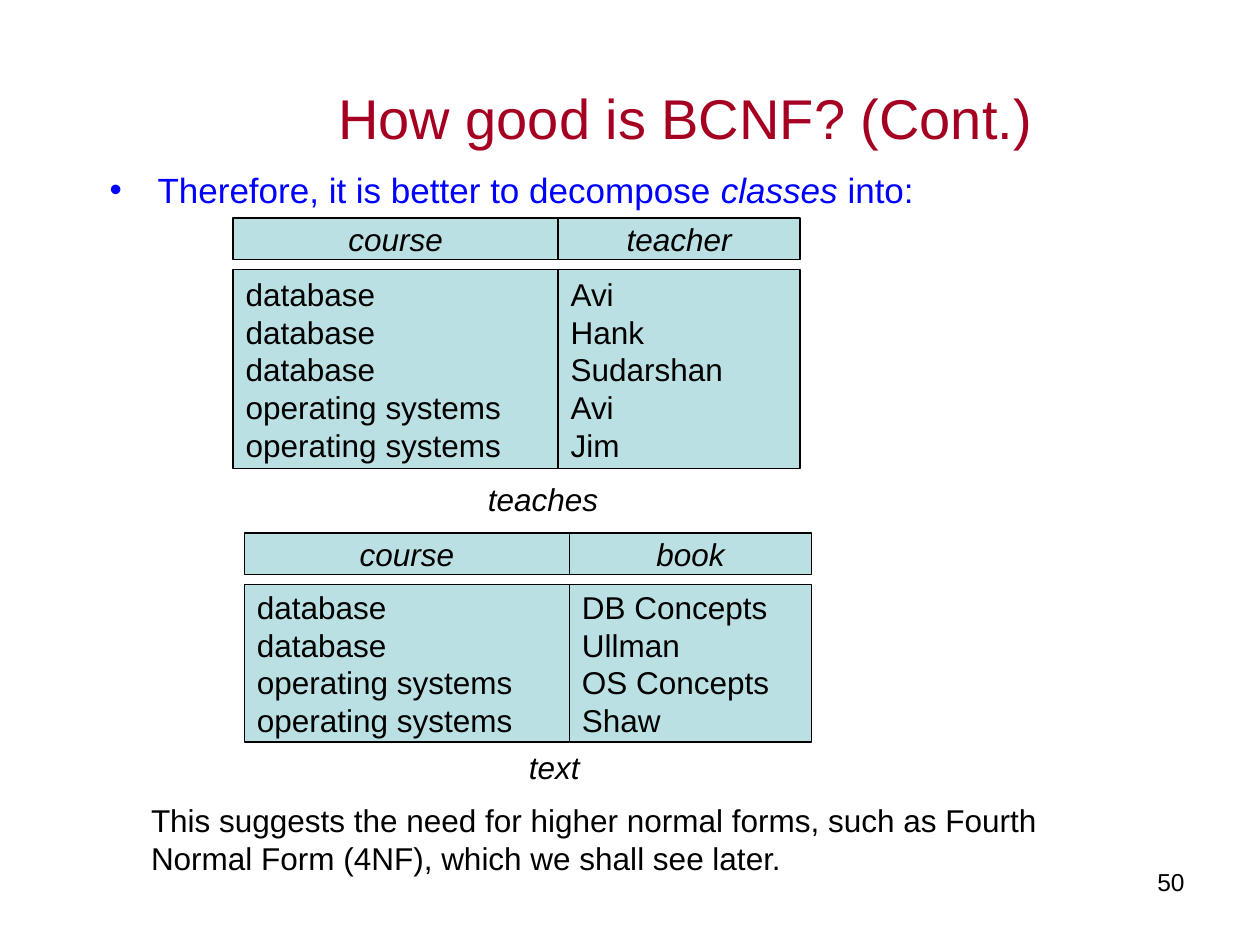
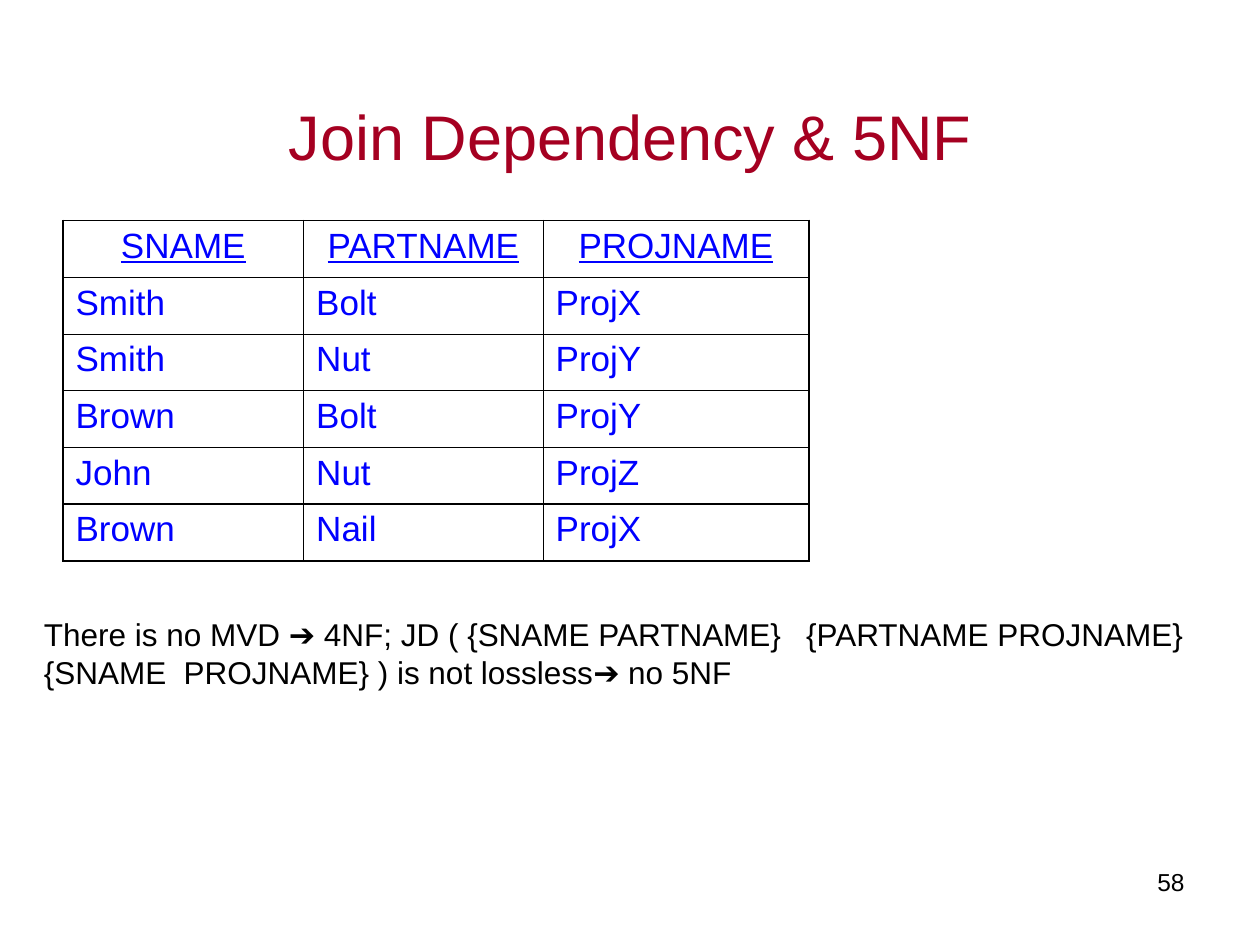
from lxml.etree import SubElement
from pptx import Presentation
from pptx.dml.color import RGBColor
from pptx.enum.shapes import MSO_SHAPE
from pptx.enum.text import MSO_ANCHOR, MSO_AUTO_SIZE, PP_ALIGN
from pptx.oxml.ns import qn
from pptx.util import Inches, Pt

FONT = "Arial"
BLACK, BLUE, CRIMSON, PALE_TEAL = "000000", "0000FF", "A50021", "BBE0E3"
TITLE_ONLY, TITLE_AND_CONTENT = 5, 1
THICK, THIN = 1.08, 0.45
PART_COLUMNS = (1.91, 1.9, 2.11)
ROW_HEIGHT = 0.45


def color(hex_code):
    return RGBColor.from_string(hex_code)


def inches(box):
    return [Inches(length) for length in box]


def format_paragraph(paragraph, size, hex_code=BLACK, align=PP_ALIGN.LEFT, italic=None):
    paragraph.alignment = align
    font = paragraph.font
    font.name, font.size, font.italic = FONT, Pt(size), italic
    font.color.rgb = color(hex_code)


def place(shape, box):
    shape.left, shape.top, shape.width, shape.height = inches(box)


def add_text(slide, box, text, size=18, anchor=MSO_ANCHOR.TOP, **style):
    frame = slide.shapes.add_textbox(*inches(box)).text_frame
    frame.word_wrap, frame.vertical_anchor = True, anchor
    frame.text = text
    format_paragraph(frame.paragraphs[0], size, **style)
    return frame.paragraphs[0]


def start_slide(presentation, layout, title, box, size, anchor, number):
    """Add a slide with the shared title style and slide number."""
    slide = presentation.slides.add_slide(presentation.slide_layouts[layout])
    shape = slide.shapes.title
    place(shape, box)
    frame = shape.text_frame
    frame.auto_size, frame.vertical_anchor = MSO_AUTO_SIZE.NONE, anchor
    frame.text = title
    format_paragraph(frame.paragraphs[0], size, CRIMSON, PP_ALIGN.CENTER)
    add_text(slide, (7.17, 6.83, 2.33, 0.52), number, 14, align=PP_ALIGN.RIGHT)
    return slide


# Bulleted statement
def fill_bullet(shape, box, runs):
    place(shape, box)
    frame = shape.text_frame
    frame.auto_size = MSO_AUTO_SIZE.NONE
    frame.margin_top = Inches(0.05)
    paragraph = frame.paragraphs[0]
    properties = paragraph._p.get_or_add_pPr()
    properties.set("marL", str(Inches(0.38)))
    properties.set("indent", str(-Inches(0.38)))
    paragraph.space_before = Pt(0)
    bullet_color = SubElement(properties, qn("a:buClr"))
    SubElement(bullet_color, qn("a:srgbClr")).set("val", BLUE)
    SubElement(properties, qn("a:buChar")).set("char", "•")
    format_paragraph(paragraph, 20, BLUE)
    for text, italic in runs:
        run = paragraph.add_run()
        run.text, run.font.italic = text, italic


# Relation drawn as header boxes above value boxes
def add_relation_box(slide, box, lines, **style):
    shape = slide.shapes.add_shape(MSO_SHAPE.RECTANGLE, *inches(box))
    shape.shadow.inherit = False
    shape.fill.solid()
    shape.fill.fore_color.rgb = color(PALE_TEAL)
    shape.line.color.rgb = color(BLACK)
    shape.line.width = Pt(0.75)
    frame = shape.text_frame
    frame.word_wrap, frame.vertical_anchor = False, MSO_ANCHOR.MIDDLE
    frame.text = "\n".join(lines)
    for paragraph in frame.paragraphs:
        format_paragraph(paragraph, 18, **style)


def add_relation(slide, left, top, values_height, columns, caption, caption_gap):
    values_top = top + 0.41
    column_left = left
    for (name, values), width in zip(columns, (2.58, 1.92)):
        add_relation_box(slide, (column_left, top, width, 0.33), [name],
                         align=PP_ALIGN.CENTER, italic=True)
        add_relation_box(slide, (column_left, values_top, width, values_height), values)
        column_left += width
    caption_top = values_top + values_height + caption_gap
    add_text(slide, (left + 1.81, caption_top, 1.3, 0.4), caption,
             anchor=MSO_ANCHOR.MIDDLE, align=PP_ALIGN.CENTER, italic=True)


# Ruled table
def set_borders(cell, widths):
    properties = cell._tc.get_or_add_tcPr()
    for position, (side, width) in enumerate(widths.items()):
        line = properties.makeelement(qn(f"a:ln{side}"), {"w": str(Pt(width))})
        fill = SubElement(line, qn("a:solidFill"))
        SubElement(fill, qn("a:srgbClr")).set("val", BLACK)
        properties.insert(position, line)


def add_ruled_table(slide, left, top, rows, has_header):
    last_row, last_column = len(rows) - 1, len(PART_COLUMNS) - 1
    box = (left, top, sum(PART_COLUMNS), ROW_HEIGHT * len(rows))
    table = slide.shapes.add_table(len(rows), len(PART_COLUMNS), *inches(box)).table
    table.first_row, table.horz_banding = has_header, False
    for column, width in zip(table.columns, PART_COLUMNS):
        column.width = Inches(width)
    for r, row in enumerate(rows):
        table.rows[r].height = Inches(ROW_HEIGHT)
        for c, text in enumerate(row):
            is_header = has_header and r == 0
            cell = table.cell(r, c)
            cell.text = text
            cell.fill.background()
            set_borders(cell, {"L": THIN if c else THICK,
                               "R": THICK if c == last_column else THIN,
                               "T": THIN if r else THICK,
                               "B": THICK if r == last_row else THIN})
            paragraph = cell.text_frame.paragraphs[0]
            format_paragraph(paragraph, 20, BLUE,
                             PP_ALIGN.CENTER if is_header else PP_ALIGN.LEFT)
            paragraph.font.bold = False
            paragraph.font.underline = is_header


def build_decomposition_slide(presentation):
    slide = start_slide(presentation, TITLE_AND_CONTENT, "How good is BCNF? (Cont.)",
                        (1.47, 0.84, 7.94, 0.41), 32, MSO_ANCHOR.BOTTOM, "50")
    fill_bullet(slide.placeholders[1], (0.77, 1.29, 7.9, 0.54),
                [("Therefore, it is better to decompose ", False),
                 ("classes ", True), ("into:", False)])
    add_relation(slide, 1.85, 1.73, 1.58, [
        ("course", ["database"] * 3 + ["operating systems"] * 2),
        ("teacher", ["Avi", "Hank", "Sudarshan", "Avi", "Jim"]),
    ], "teaches", 0.04)
    add_relation(slide, 1.94, 4.23, 1.25, [
        ("course", ["database"] * 2 + ["operating systems"] * 2),
        ("book", ["DB Concepts", "Ullman", "OS Concepts", "Shaw"]),
    ], "text", 0)
    add_text(slide, (1.1, 6.31, 7.35, 0.58),
             "This suggests the need for higher normal forms, such as Fourth "
             "Normal Form (4NF), which we shall see later.")


def build_join_dependency_slide(presentation):
    slide = start_slide(presentation, TITLE_ONLY, "Join Dependency & 5NF",
                        (0.5, 0.72, 9, 0.7), 36, MSO_ANCHOR.MIDDLE, "58")
    supplies = [
        ("SNAME", "PARTNAME", "PROJNAME"),
        ("Smith", "Bolt", "ProjX"),
        ("Smith", "Nut", "ProjY"),
        ("Brown", "Bolt", "ProjY"),
        ("John", "Nut", "ProjZ"),
    ]
    left, top = 0.5, 1.75
    add_ruled_table(slide, left, top, supplies, True)
    add_ruled_table(slide, left, top + ROW_HEIGHT * len(supplies),
                    [("Brown", "Nail", "ProjX")], False)

    # Conclusion, with tab stops for the wide gaps
    paragraph = add_text(slide, (0.25, 4.83, 9.5, 0.7),
                         "There is no MVD ➔ 4NF; JD ( {SNAME PARTNAME}\t{PARTNAME PROJNAME} "
                         "{SNAME\tPROJNAME} ) is not lossless➔ no 5NF")
    tab_stops = SubElement(paragraph._p.get_or_add_pPr(), qn("a:tabLst"))
    paragraph._p.pPr.insert(0, tab_stops)
    for position in (1.11, 6.05):
        SubElement(tab_stops, qn("a:tab"), pos=str(Inches(position)), algn="l")


def main():
    presentation = Presentation()
    presentation.slide_width, presentation.slide_height = Inches(10), Inches(7.5)
    build_decomposition_slide(presentation)
    build_join_dependency_slide(presentation)
    presentation.save("out.pptx")


if __name__ == "__main__":
    main()
